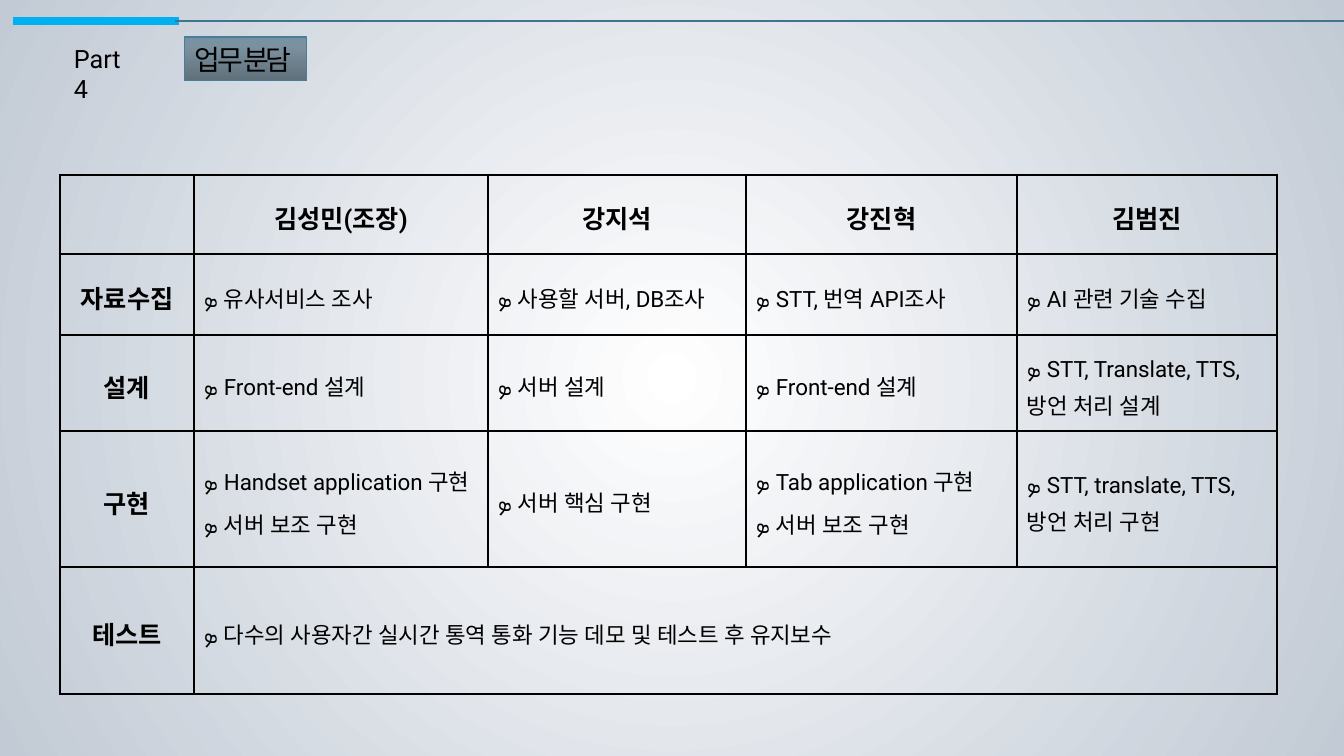
from copy import deepcopy
from lxml.etree import SubElement
from pptx import Presentation
from pptx.dml.color import RGBColor
from pptx.enum.shapes import MSO_CONNECTOR as CONNECTOR, MSO_SHAPE as SHAPE
from pptx.enum.text import MSO_ANCHOR as ANCHOR, PP_ALIGN as ALIGN
from pptx.oxml.ns import qn
from pptx.util import Emu, Pt

BLACK = RGBColor(0x00, 0x00, 0x00)
WHITE = RGBColor(0xFF, 0xFF, 0xFF)
MIST = RGBColor(0xC2, 0xCA, 0xD5)
SKY = RGBColor(0x00, 0xB0, 0xF0)
TEAL = RGBColor(0x3F, 0x74, 0x8F)
BADGE_EDGE = RGBColor(0x47, 0x7F, 0x9B)
BADGE_STOPS = [
    (0, RGBColor(0x5F, 0x70, 0x7B)),
    (0.8, RGBColor(0x7C, 0x91, 0x9F)),
    (1, RGBColor(0x76, 0x90, 0xA1)),
]
FONT = "Roboto"
PX = 914400 / 100.8


def px(*lengths):
    return [Emu(round(length * PX)) for length in lengths]


def write(paragraph, text, size, bold=False):
    run = paragraph.add_run()
    run.text = text
    style = {"name": FONT, "size": Pt(size), "bold": bold}
    for key, value in style.items():
        setattr(run.font, key, value)
    run.font.color.rgb = BLACK
    for script in ("a:ea", "a:cs"):
        SubElement(run.font._element, qn(script), typeface=FONT)
    return run


deck = Presentation()
deck.slide_width, deck.slide_height = px(1344, 756)
slide = deck.slides.add_slide(deck.slide_layouts[6])

backdrop = slide.background.fill
backdrop.gradient()
for stop, color in zip(backdrop.gradient_stops, (WHITE, MIST)):
    stop.color.rgb = color
glow = slide.element.find(".//" + qn("a:gradFill"))
glow.remove(glow.find(qn("a:lin")))
center = SubElement(glow, qn("a:path"), path="circle")
SubElement(center, qn("a:fillToRect"), l="50000", t="50000", r="50000", b="50000")

for start, end, color, width, cap in [
    (17, 175, SKY, 6, "sq"),
    (175, 1344, TEAL, 1, "flat"),
]:
    rule = slide.shapes.add_connector(CONNECTOR.STRAIGHT, *px(start, 21, end, 21))
    rule.line.color.rgb = color
    rule.line.width = Pt(width)
    rule.line._ln.set("cap", cap)
    SubElement(rule._element.spPr, qn("a:effectLst"))

part = slide.shapes.add_textbox(*px(64, 38, 87, 40)).text_frame
part.word_wrap = True
write(part.paragraphs[0], "Part 4", 18)

HEADINGS = ["", "김성민(조장)", "강지석", "강진혁", "김범진"]
DUTIES = [
    ["자료수집", "ܤ 유사서비스 조사", "ܤ 사용할 서버, DB조사",
     "ܤ STT, 번역 API조사", "ܤ AI 관련 기술 수집"],
    ["설계", "ܤ Front-end 설계", "ܤ 서버 설계", "ܤ Front-end 설계",
     "ܤ STT, Translate, TTS, 방언 처리 설계"],
    ["구현", "ܤ Handset application 구현\nܤ 서버 보조 구현", "ܤ 서버 핵심 구현",
     "ܤ Tab application 구현\nܤ 서버 보조 구현",
     "ܤ STT, translate, TTS, 방언 처리 구현"],
    ["테스트", "ܤ 다수의 사용자간 실시간 통역 통화 기능 데모 및 테스트 후 유지보수",
     "", "", ""],
]
COLUMN_WIDTHS = px(134, 294, 258, 271, 260)
ROW_HEIGHTS = px(79, 81, 96, 136, 127)

plan = slide.shapes.add_table(5, 5, *px(60, 175, 1217, 519)).table
plan.first_row = plan.horz_banding = False
for column, width in zip(plan.columns, COLUMN_WIDTHS):
    column.width = width
for row, height in zip(plan.rows, ROW_HEIGHTS):
    row.height = height
plan.cell(4, 1).merge(plan.cell(4, 4))

for r, duties in enumerate([HEADINGS] + DUTIES):
    for c, duty in enumerate(duties):
        cell = plan.cell(r, c)
        cell.vertical_anchor = ANCHOR.MIDDLE
        outer = {"a:lnL": c == 0, "a:lnR": c == 4, "a:lnT": r == 0, "a:lnB": r == 4}
        if cell.is_merge_origin:
            outer["a:lnR"] = True
        for side, is_outer in outer.items():
            border = SubElement(cell._tc.get_or_add_tcPr(), qn(side),
                                w=str(Pt(2.25 if is_outer else 1)),
                                cap="flat", cmpd="sng", algn="ctr")
            ink = SubElement(border, qn("a:solidFill"))
            SubElement(ink, qn("a:srgbClr"), val=str(BLACK))
            SubElement(border, qn("a:prstDash"), val="solid")
        cell.fill.background()
        if not duty:
            continue
        is_label = r == 0 or c == 0
        layout = {
            "alignment": ALIGN.CENTER if is_label else ALIGN.LEFT,
            "line_spacing": 1.4,
            "space_before": Pt(5),
        }
        for i, line in enumerate(duty.split("\n")):
            frame = cell.text_frame
            paragraph = frame.add_paragraph() if i else frame.paragraphs[0]
            for key, value in layout.items():
                setattr(paragraph, key, value)
            write(paragraph, line, 18 if is_label else 16, is_label)

badge = slide.shapes.add_shape(SHAPE.RECTANGLE, *px(185, 37, 122, 44))
badge.shadow.inherit = False
badge.line.color.rgb = BADGE_EDGE
badge.line.width = Pt(0.75)
badge.fill.gradient()
badge.fill.gradient_angle = 90
stop_list = badge._element.spPr.find(".//" + qn("a:gsLst"))
stop_list.insert(1, deepcopy(stop_list[0]))
for stop, (position, color) in zip(badge.fill.gradient_stops, BADGE_STOPS):
    stop.position = position
    stop.color.rgb = color
badge.text_frame.word_wrap = False
title = badge.text_frame.paragraphs[0]
title.alignment = ALIGN.LEFT
write(title, "업무 분담", 20).font._element.set("spc", "-250")

deck.save("out.pptx")
